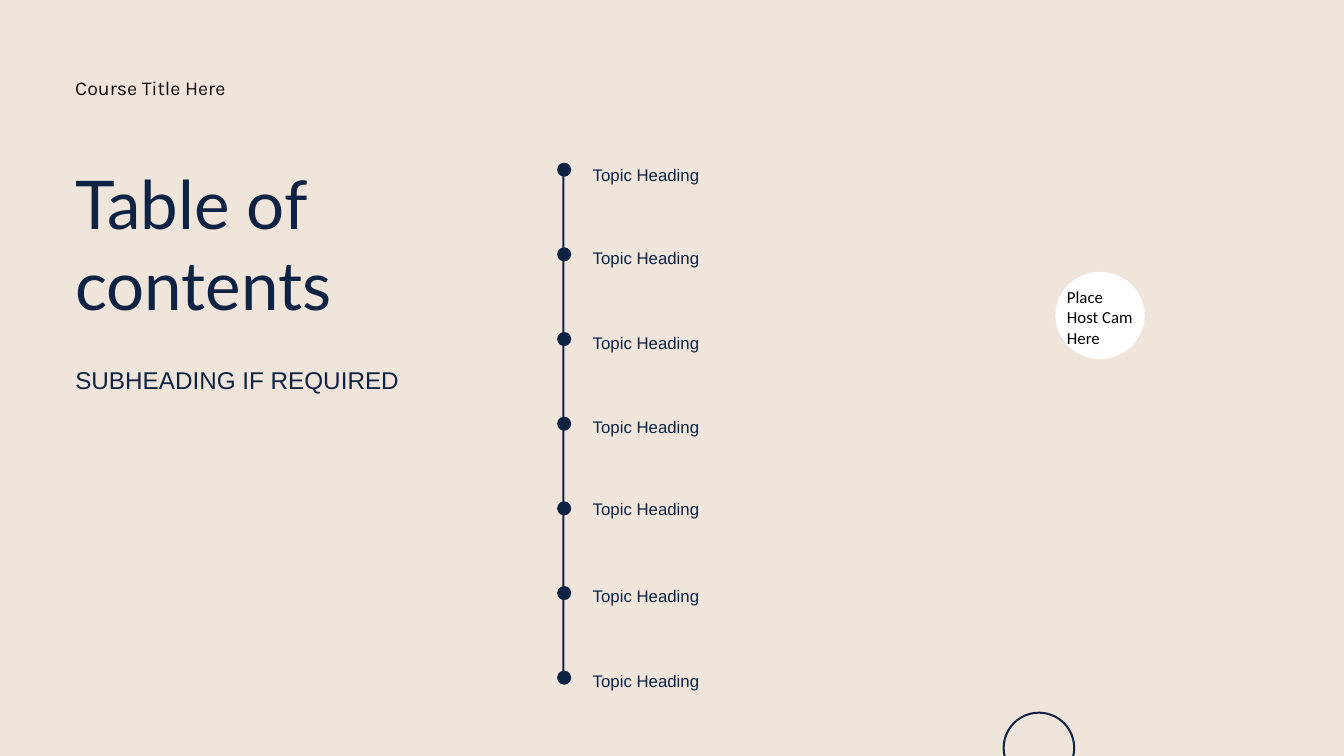
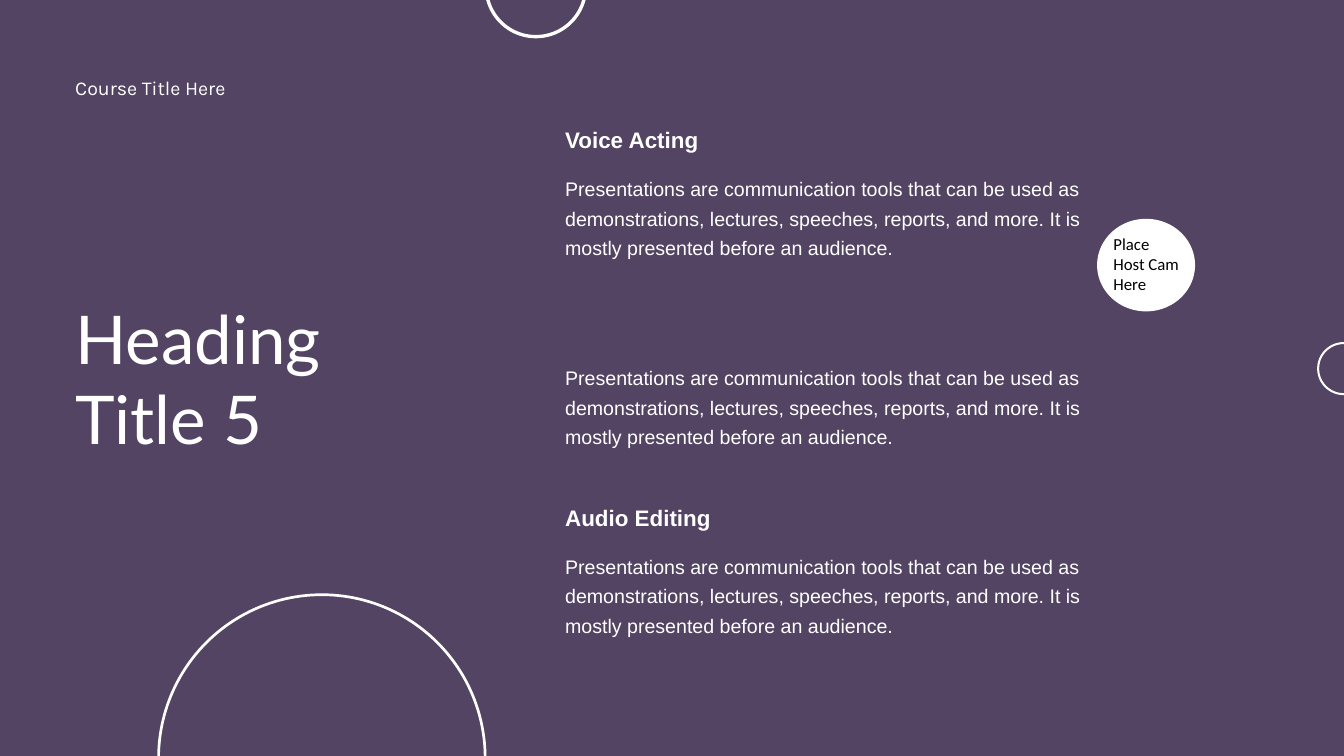
from dataclasses import dataclass

from lxml.etree import SubElement
from pptx import Presentation
from pptx.dml.color import RGBColor as Rgb
from pptx.enum.shapes import MSO_SHAPE as Shape
from pptx.enum.text import MSO_ANCHOR as Anchor, MSO_AUTO_SIZE as AutoSize, PP_ALIGN as Align
from pptx.oxml.ns import qn
from pptx.util import Inches, Pt


@dataclass(frozen=True)
class Theme:
    sand: Rgb = Rgb(0xF0, 0xE5, 0xDB)
    plum: Rgb = Rgb(0x52, 0x44, 0x62)
    navy: Rgb = Rgb(0x0E, 0x22, 0x43)
    ink: Rgb = Rgb(0x10, 0x0F, 0x0D)
    black: Rgb = Rgb(0, 0, 0)
    white: Rgb = Rgb(0xFF, 0xFF, 0xFF)
    title_font: str = "Lato"
    body_font: str = "Arial"
    course_font: str = "Karla"
    cam_font: str = "Calibri"
    title_size: float = 72
    subheading_size: float = 26
    section_size: float = 24
    text_size: float = 21
    label_size: float = 18


THEME = Theme()
TITLE_ONLY, TITLE_AND_BODY = 5, 1
MARGIN_LEFT = 1.12
SECTION_LEFT = 8.41
SECTION_WIDTH = 8.33
TOPIC_TOPS = [2.38, 3.61, 4.87, 6.13, 7.35, 8.64, 9.9]
TOPIC_LEADING = 27
DOT_SIZE = 0.21
DOT_PITCH = 1.26
FIRST_DOT_TOP = 2.42
DESCRIPTION = (
    "Presentations are communication tools that can be used as demonstrations, "
    "lectures, speeches, reports, and more. It is mostly presented before an audience."
)


def place(item, left, top, width, height):
    item.left, item.top = Inches(left), Inches(top)
    item.width, item.height = Inches(width), Inches(height)


def write(frame, lines, *, size, color, font=THEME.body_font, bold=False,
          leading=None, gaps=None, inset=0):
    """Fill a text frame; leading and gaps (space before each line) are in points."""
    frame.word_wrap = True
    frame.auto_size = AutoSize.NONE
    frame.vertical_anchor = Anchor.TOP
    if inset is not None:
        frame.margin_left = frame.margin_right = Inches(inset)
        frame.margin_top = frame.margin_bottom = Inches(inset)
    for index, line in enumerate(lines):
        paragraph = frame.paragraphs[0] if index == 0 else frame.add_paragraph()
        paragraph.alignment = Align.LEFT
        paragraph.space_before = Pt(gaps[index] if gaps else 0)
        if leading:
            paragraph.line_spacing = Pt(leading)
        run = paragraph.add_run()
        run.text = line
        run.font.name, run.font.size = font, Pt(size)
        run.font.bold, run.font.color.rgb = bold, color


def add_text(slide, box, lines, **style):
    textbox = slide.shapes.add_textbox(*map(Inches, box))
    write(textbox.text_frame, lines, **style)


def add_filled(slide, kind, box, color):
    figure = slide.shapes.add_shape(kind, *map(Inches, box))
    figure.shadow.inherit = False
    figure.fill.solid()
    figure.fill.fore_color.rgb = color
    figure.line.fill.background()
    return figure


def add_ring(slide, left, top, diameter, thickness, color):
    ring = add_filled(slide, Shape.DONUT, (left, top, diameter, diameter), color)
    ring.adjustments[0] = thickness / diameter


def add_cam_spot(slide, circle, label_left, label_top):
    spot = add_filled(slide, Shape.OVAL, circle, THEME.white)
    spot.line.color.rgb = THEME.white
    spot.line.width = Pt(2)
    add_text(slide, (label_left, label_top, 3, 1.01), ["Place", "Host Cam", "Here"],
             size=THEME.label_size, font=THEME.cam_font, color=THEME.black, inset=None)


def start_slide(deck, layout, background, title_lines, title_top, title_color, course_color):
    """Add a slide with its background, title and course line."""
    slide = deck.slides.add_slide(deck.slide_layouts[layout])
    slide.background.fill.solid()
    slide.background.fill.fore_color.rgb = background
    place(slide.shapes.title, MARGIN_LEFT, title_top, 5.89, 2.41)
    write(slide.shapes.title.text_frame, title_lines, size=THEME.title_size,
          font=THEME.title_font, color=title_color, leading=86.4)
    add_text(slide, (MARGIN_LEFT, 1.07, 4.3, 0.4), ["Course Title Here"],
             size=THEME.text_size, font=THEME.course_font, color=course_color, leading=29.4)
    return slide


def add_timeline(slide):
    count = len(TOPIC_TOPS)
    center_top = FIRST_DOT_TOP + DOT_SIZE / 2
    add_filled(slide, Shape.RECTANGLE, (8.37, center_top, 0.03, DOT_PITCH * (count - 1)),
               THEME.navy)
    for index in range(count):
        top = FIRST_DOT_TOP + DOT_PITCH * index
        add_filled(slide, Shape.OVAL, (8.29, top, DOT_SIZE, DOT_SIZE), THEME.navy)


def fill_topics(body):
    """Set the topics as one list, each line starting at its own height."""
    steps = [below - above for above, below in zip(TOPIC_TOPS, TOPIC_TOPS[1:])]
    gaps = [0] + [step * 72 - TOPIC_LEADING for step in steps]
    place(body, 8.82, TOPIC_TOPS[0], 9.46, 7.88)
    write(body.text_frame, ["Topic Heading"] * len(TOPIC_TOPS), size=THEME.label_size,
          color=THEME.navy, leading=TOPIC_LEADING, gaps=gaps)
    for paragraph in body.text_frame.paragraphs:
        properties = paragraph._p.get_or_add_pPr()
        properties.set("marL", "0")
        properties.set("indent", "0")
        SubElement(properties, qn("a:buNone"))


def add_section(slide, top, heading):
    if heading:
        add_text(slide, (SECTION_LEFT, top, SECTION_WIDTH, 0.47), [heading],
                 size=THEME.section_size, color=THEME.white, bold=True, leading=33.6)
    add_text(slide, (SECTION_LEFT, top + 0.74, SECTION_WIDTH, 1.32), [DESCRIPTION],
             size=THEME.text_size, color=THEME.white, leading=31.5)


def build_contents(deck):
    slide = start_slide(deck, TITLE_AND_BODY, THEME.sand, ["Table of contents"], 2.42,
                        THEME.navy, THEME.ink)
    add_text(slide, (MARGIN_LEFT, 5.4, 5.89, 0.46), ["SUBHEADING IF REQUIRED"],
             size=THEME.subheading_size, color=THEME.navy, leading=33.8)
    add_timeline(slide)
    fill_topics(slide.placeholders[1])
    add_ring(slide, 14.92, 10.59, 1.08, 0.03, THEME.navy)
    add_cam_spot(slide, (15.72, 4.06, 1.3, 1.27), 15.78, 4.22)


def build_sections(deck):
    slide = start_slide(deck, TITLE_ONLY, THEME.plum, ["Heading", "Title 5"], 4.42,
                        THEME.white, THEME.white)
    for index, heading in enumerate(["Voice Acting", None, "Audio Editing"]):
        add_section(slide, 1.81 + 2.81 * index, heading)
    for ring in [(2.34, 8.83, 4.9, 0.04), (7.21, -0.96, 1.53, 0.05), (19.6, 5.09, 0.79, 0.03)]:
        add_ring(slide, *ring, THEME.white)
    add_cam_spot(slide, (16.34, 3.27, 1.43, 1.35), 16.47, 3.43)


def main():
    deck = Presentation()
    deck.slide_width, deck.slide_height = Inches(20), Inches(11.25)
    build_contents(deck)
    build_sections(deck)
    deck.save("out.pptx")


if __name__ == "__main__":
    main()
